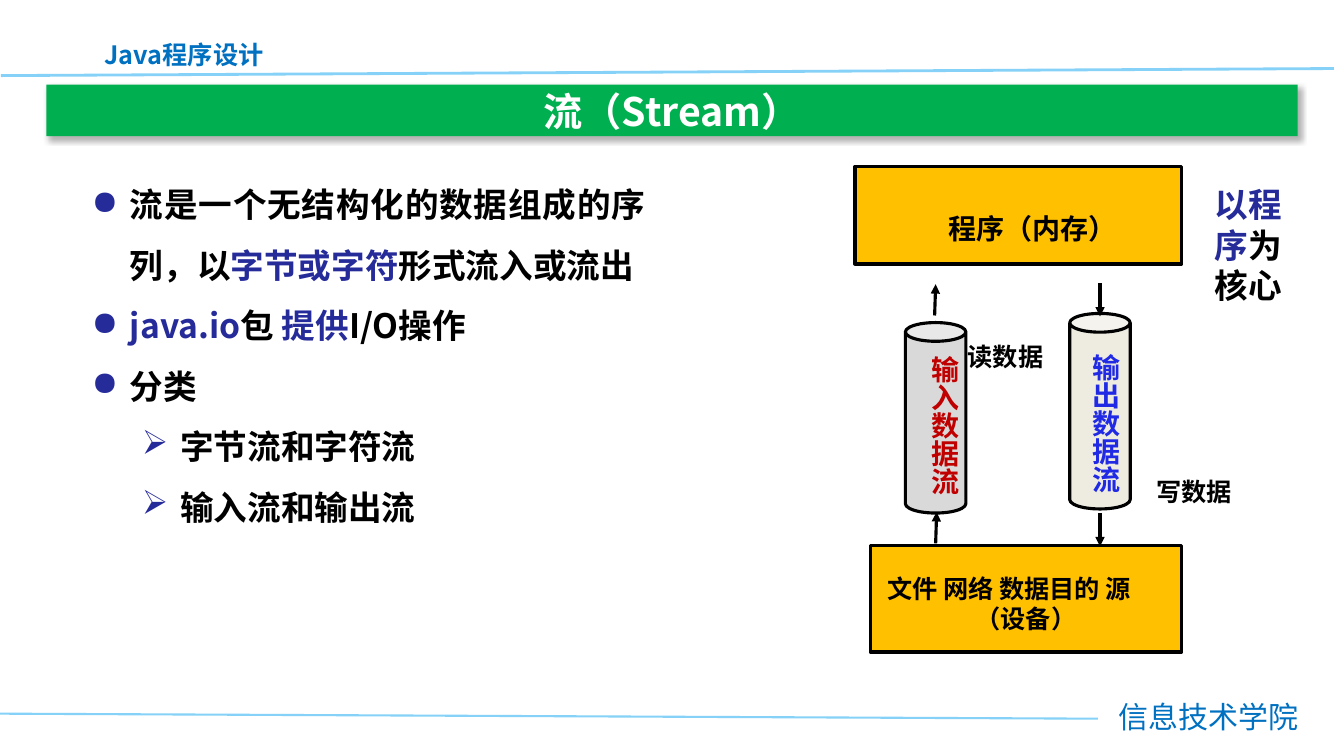
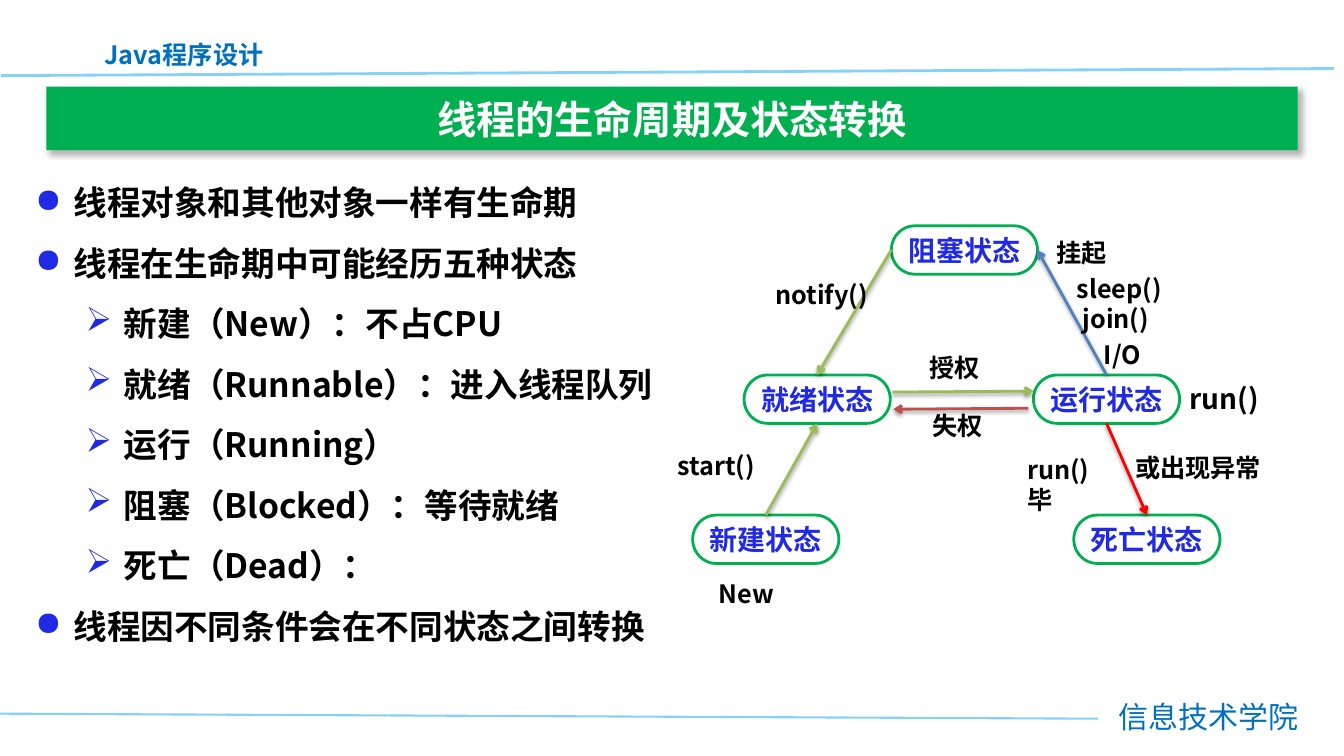
from lxml.etree import SubElement
from pptx import Presentation
from pptx.dml.color import RGBColor
from pptx.enum.shapes import MSO_CONNECTOR, MSO_SHAPE
from pptx.enum.text import MSO_ANCHOR, MSO_AUTO_SIZE, PP_ALIGN
from pptx.oxml.ns import qn
from pptx.util import Inches, Pt

FONT = "Noto Sans CJK SC"
WHITE = RGBColor(0xFF, 0xFF, 0xFF)
BLACK = RGBColor(0x00, 0x00, 0x00)
SKY = RGBColor(0x85, 0xD1, 0xF7)
BRAND_BLUE = RGBColor(0x00, 0x70, 0xC0)
BAND_GREEN = RGBColor(0x00, 0xB0, 0x50)
INDIGO = RGBColor(0x26, 0x2B, 0x9A)
BRIGHT_BLUE = RGBColor(0x20, 0x29, 0xE4)
AMBER = RGBColor(0xFF, 0xC0, 0x00)
GREY = RGBColor(0xD9, 0xD9, 0xD9)
CREAM = RGBColor(0xEE, 0xEC, 0xE1)
DARK_RED = RGBColor(0xC0, 0x00, 0x00)
OLIVE = RGBColor(0x9B, 0xBB, 0x59)
BRICK = RGBColor(0xC0, 0x50, 0x4D)
STEEL = RGBColor(0x4F, 0x81, 0xBD)
RED = RGBColor(0xFF, 0x00, 0x00)

BAND_SHADOW = (30, 4.5, 2.6, 53)
ARROW_SHADOW = (38, 3.1, 1.6, 90)
CENTRED = {"vertical_anchor": MSO_ANCHOR.MIDDLE, "word_wrap": False}
LABEL = {"word_wrap": False, "auto_size": MSO_AUTO_SIZE.SHAPE_TO_FIT_TEXT}
WRAPPED = {"word_wrap": True, "auto_size": MSO_AUTO_SIZE.SHAPE_TO_FIT_TEXT}


def apply(target, values):
    for attribute, value in values.items():
        setattr(target, attribute, value)


def add_solid(parent, color, alpha=None):
    fill = SubElement(parent, qn("a:solidFill"))
    tone = SubElement(fill, qn("a:srgbClr"), val=str(color))
    if alpha:
        SubElement(tone, qn("a:alpha"), val=str(alpha * 1000))


def set_shadow(part, shadow=None):
    properties = part._element.spPr
    for old in properties.findall(qn("a:effectLst")):
        properties.remove(old)
    effects = SubElement(properties, qn("a:effectLst"))
    if shadow:
        alpha, blur, distance, angle = shadow
        outer = SubElement(effects, qn("a:outerShdw"), blurRad=str(Pt(blur)),
                           dist=str(Pt(distance)), dir=str(angle * 60000),
                           algn="ctr", rotWithShape="0")
        tone = SubElement(outer, qn("a:srgbClr"), val=str(BLACK))
        SubElement(tone, qn("a:alpha"), val=str(alpha * 1000))


def write(paragraph, runs, size, bold=True):
    for text, color in runs:
        run = paragraph.add_run()
        run.text = text
        apply(run.font, {"name": FONT, "size": Pt(size), "bold": bold})
        run.font.color.rgb = color
        properties = run._r.get_or_add_rPr()
        SubElement(properties, qn("a:ea"), typeface=FONT)
    return paragraph


def add_label(slide, box, runs, size=18, frame=LABEL, align=None, bold=True):
    label = slide.shapes.add_textbox(*map(Inches, box))
    apply(label.text_frame, frame)
    paragraph = write(label.text_frame.paragraphs[0], runs, size, bold)
    paragraph.alignment = align
    return label


def add_block(slide, preset, box, fill=None, line=None, width=2.25, shadow=None):
    block = slide.shapes.add_shape(preset, *map(Inches, box))
    set_shadow(block, shadow)
    if fill is None:
        block.fill.background()
    else:
        block.fill.solid()
        block.fill.fore_color.rgb = fill
    if line is None:
        block.line.fill.background()
    else:
        block.line.color.rgb = line
        block.line.width = Pt(width)
    return block


def add_line(slide, ends, color, width, head=None, shadow=None):
    line = slide.shapes.add_connector(MSO_CONNECTOR.STRAIGHT, *map(Inches, ends))
    line.line.color.rgb = color
    line.line.width = Pt(width)
    if head:
        SubElement(line.line._get_or_add_ln(), qn("a:tailEnd"), type=head)
    set_shadow(line, shadow)
    return line


def add_frame(slide):
    add_line(slide, (0.01, 0.75, 13.23, 0.68), SKY, 2)
    add_line(slide, (0, 7.08, 10.89, 7.13), SKY, 1.5)
    add_label(slide, (0.94, 0.34, 2.03, 0.4), [("Java程序设计", BRAND_BLUE)],
              frame=WRAPPED)
    school = add_label(slide, (10.89, 6.88, 2.19, 0.46),
                       [("信息技术学院", BRAND_BLUE)], 21.4, WRAPPED,
                       PP_ALIGN.CENTER, None)
    properties = school.text_frame.paragraphs[0].runs[0]._r.get_or_add_rPr()
    outline = SubElement(properties, qn("a:ln"), w=str(Pt(0.75)))
    add_solid(outline, STEEL)
    properties.insert(0, outline)


def add_title(slide, box, title):
    band = add_block(slide, MSO_SHAPE.RECTANGLE, box, BAND_GREEN, shadow=BAND_SHADOW)
    apply(band.text_frame, CENTRED)
    paragraph = write(band.text_frame.paragraphs[0], [(title, WHITE)], 28)
    paragraph.alignment = PP_ALIGN.CENTER


def add_bullets(slide, box, items, bullet_color, align):
    frame = slide.shapes.add_textbox(*map(Inches, box)).text_frame
    apply(frame, WRAPPED)
    for index, (level, runs) in enumerate(items):
        paragraph = frame.add_paragraph() if index else frame.paragraphs[0]
        apply(paragraph, {"level": level, "line_spacing": 1.5, "alignment": align})
        properties = paragraph._p.get_or_add_pPr()
        properties.set("marL", str(Inches(0.38 + 0.5 * level)))
        properties.set("indent", str(Inches(-0.38)))
        tone = SubElement(properties, qn("a:buClr"))
        SubElement(tone, qn("a:srgbClr"), val=str(bullet_color))
        SubElement(properties, qn("a:buChar"), char="●➢"[level])
        write(paragraph, runs, 24)


def add_stream_diagram(slide, left, top):
    def at(x, y, *size):
        return (left + x, top + y, *size)

    for box in ((0, 0, 3.24, 0.97), (0.15, 3.76, 3.09, 1.06)):
        add_block(slide, MSO_SHAPE.RECTANGLE, at(*box), AMBER, BLACK)

    pipes = (
        ((0.5, 1.55, 0.6, 1.89), GREY, (0.56, 1.78), "输入数据流", DARK_RED),
        ((2.13, 1.46, 0.6, 1.94), CREAM, (2.16, 1.76), "输出数据流", BRIGHT_BLUE),
    )
    for box, fill, corner, name, color in pipes:
        pipe = add_block(slide, MSO_SHAPE.CAN, at(*box), fill, BLACK)
        pipe.adjustments[0] = 0.31
        caption = add_label(slide, at(*corner, 0.54, 1.49), [(name, color)], 20)
        caption.text_frame._txBody.bodyPr.set("vert", "eaVert")

    for x1, y1, x2, y2 in ((0.8, 3.74, 0.81, 3.43), (0.79, 1.48, 0.8, 1.17),
                           (2.43, 1.16, 2.43, 1.49), (2.43, 3.44, 2.43, 3.77)):
        add_line(slide, at(x1, y1) + at(x2, y2), BLACK, 2.25, "triangle")

    add_label(slide, at(0.83, 0.4, 1.87, 0.44), [("程序（内存）", BLACK)], 20)
    devices = add_label(slide, at(0.22, 3.99, 2.95, 0.71),
                        [("文件 网络 数据目的 源", BLACK)], frame=WRAPPED)
    kind = write(devices.text_frame.add_paragraph(), [("（设备）", BLACK)], 18)
    kind.alignment = PP_ALIGN.CENTER
    add_label(slide, at(2.89, 3.03, 0.95, 0.4), [("写数据", BLACK)])
    add_label(slide, at(1.02, 1.69, 0.95, 0.4), [("读数据", BLACK)])
    add_label(slide, at(3.47, 0.13, 1.07, 1.31),
              [("以程序", INDIGO), ("为核心", BLACK)], 24, WRAPPED)


def add_state_diagram(slide, left, top):
    def at(x, y, *size):
        return (left + x, top + y, *size)

    states = {}
    for name, x, y in (("新建", 0.25, 2.87), ("就绪", 0.76, 1.48), ("阻塞", 2.22, 0),
                       ("运行", 3.63, 1.48), ("死亡", 4.03, 2.87)):
        state = add_block(slide, MSO_SHAPE.FLOWCHART_TERMINATOR,
                          at(x, y, 1.45, 0.48), line=BAND_GREEN, width=2)
        apply(state.text_frame, CENTRED)
        paragraph = write(state.text_frame.paragraphs[0],
                          [(name + "状态", BRIGHT_BLUE)], 20)
        paragraph.alignment = PP_ALIGN.CENTER
        states[name] = state

    for source, source_side, target, target_side, color in (
            ("新建", 0, "就绪", 2, OLIVE), ("运行", 0, "阻塞", 3, STEEL),
            ("阻塞", 1, "就绪", 0, OLIVE), ("运行", 2, "死亡", 0, RED)):
        change = add_line(slide, (0, 0, 1, 1), color, 2, "arrow", ARROW_SHADOW)
        change.begin_connect(states[source], source_side)
        change.end_connect(states[target], target_side)

    for x1, y1, x2, y2, color in ((2.23, 1.65, 3.63, 1.64, OLIVE),
                                  (3.58, 1.81, 2.24, 1.82, BRICK)):
        add_line(slide, at(x1, y1) + at(x2, y2), color, 2, "arrow", ARROW_SHADOW)

    for text, x, y, width, height in (
            ("New", 0.41, 3.45, 0.77, 0.4), ("start()", 0, 2.18, 0.98, 0.4),
            ("授权", 2.5, 1.21, 0.76, 0.44), ("失权", 2.53, 1.78, 0.76, 0.44),
            ("或出现异常", 4.54, 2.2, 1.45, 0.4), ("挂起", 3.76, 0.07, 0.7, 0.4),
            ("sleep()", 3.96, 0.42, 1.05, 0.4), ("join()", 4.02, 0.72, 0.86, 0.4),
            ("I/O", 4.23, 1.08, 0.65, 0.44), ("notify()", 0.97, 0.48, 1.15, 0.4)):
        add_label(slide, at(x, y, width, height), [(text, BLACK)])
    add_label(slide, at(3.47, 2.22, 1, 0.71), [("run()毕", BLACK)], frame=WRAPPED)
    add_label(slide, at(5.08, 1.5, 0.9, 0.44), [("run()", BLACK)], 20, WRAPPED)


def build_stream_slide(slide):
    add_frame(slide)
    add_title(slide, (0.46, 0.84, 12.41, 0.51), "流（Stream）")
    add_bullets(slide, (0.81, 1.58, 5.69, 3.73), (
        (0, [("流是一个无结构化的数据组成的序列，以", BLACK),
             ("字节或字符", INDIGO), ("形式流入或流出", BLACK)]),
        (0, [("java.io", INDIGO), ("包", BLACK), (" 提供", INDIGO),
             ("I/O操作", BLACK)]),
        (0, [("分类", BLACK)]),
        (1, [("字节流和字符流", BLACK)]),
        (1, [("输入流和输出流", BLACK)]),
    ), INDIGO, PP_ALIGN.JUSTIFY)
    add_stream_diagram(slide, 8.48, 1.65)


def build_thread_slide(slide):
    add_frame(slide)
    add_title(slide, (0.46, 0.86, 12.41, 0.63), "线程的生命周期及状态转换")
    lines = (
        (0, "线程对象和其他对象一样有生命期"),
        (0, "线程在生命期中可能经历五种状态"),
        (1, "新建（New）：不占CPU"),
        (1, "就绪（Runnable）：进入线程队列"),
        (1, "运行（Running）"),
        (1, "阻塞（Blocked）：等待就绪"),
        (1, "死亡（Dead）："),
        (0, "线程因不同条件会在不同状态之间转换"),
    )
    add_bullets(slide, (0.25, 1.56, 6.58, 4.95),
                [(level, [(text, BLACK)]) for level, text in lines],
                BRIGHT_BLUE, PP_ALIGN.LEFT)
    add_state_diagram(slide, 6.62, 2.24)


def main():
    deck = Presentation()
    apply(deck, {"slide_width": Inches(13.33), "slide_height": Inches(7.5)})
    for build in (build_stream_slide, build_thread_slide):
        build(deck.slides.add_slide(deck.slide_layouts[6]))
    deck.save("out.pptx")


if __name__ == "__main__":
    main()
